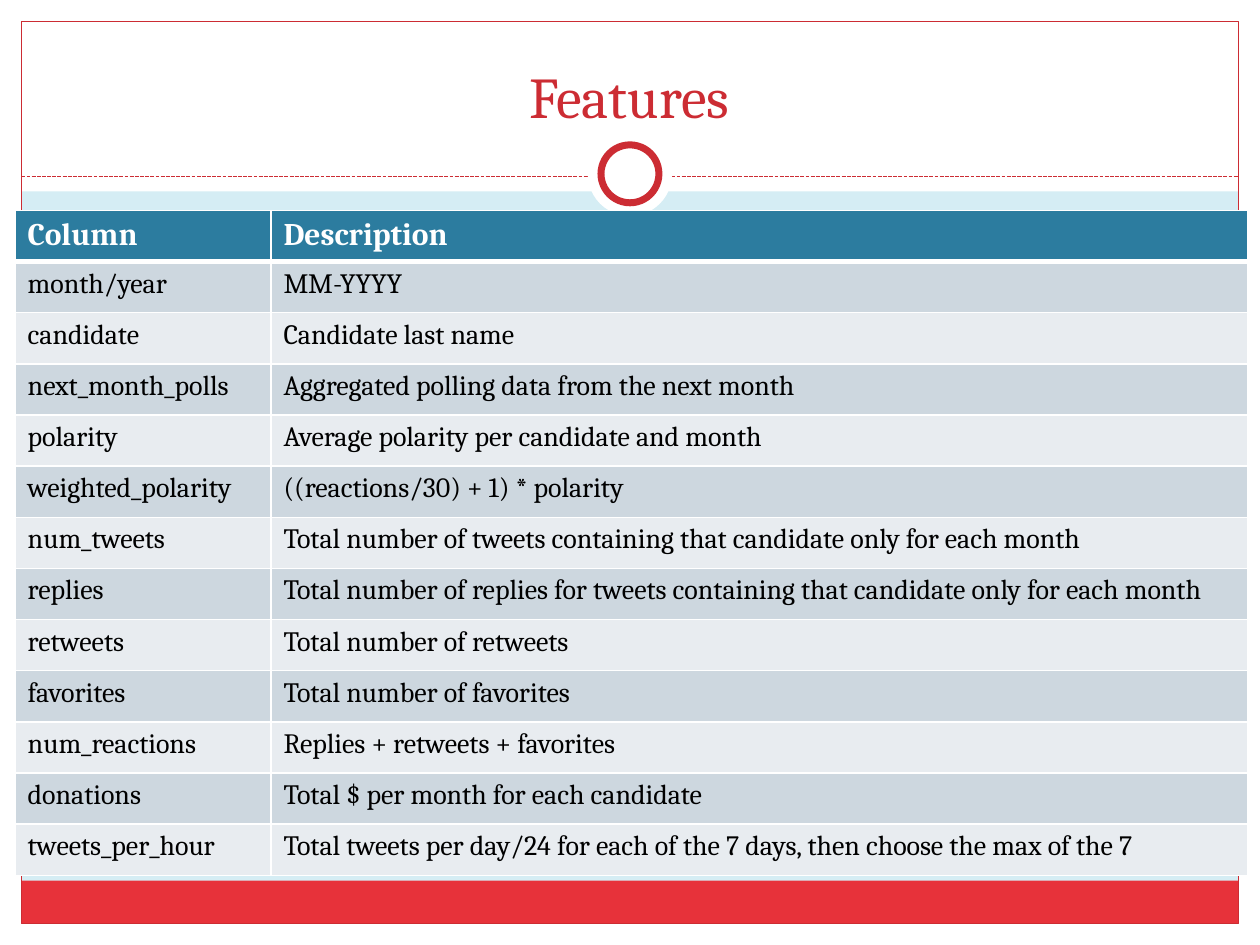
import pptx
import pptx.util
import pptx.dml.color
import pptx.enum.dml
import pptx.enum.shapes
import pptx.enum.text
import pptx.oxml
import pptx.oxml.ns
from lxml import etree

Inches = pptx.util.Inches
Pt = pptx.util.Pt
MSO_SHAPE = pptx.enum.shapes.MSO_SHAPE

FONT = "Cambria"
COLORS = {
    "background": "D5EDF4",
    "white": "FFFFFF",
    "black": "000000",
    "red": "CC2C33",
    "footer": "E7323A",
    "header": "2C7C9F",
    "odd": "CDD7DF",
    "even": "E8ECF0",
}
FEATURES = [
    ("Column", "Description"),
    ("month/year", "MM-YYYY"),
    ("candidate", "Candidate last name"),
    ("next_month_polls", "Aggregated polling data from the next month"),
    ("polarity", "Average polarity per candidate and month"),
    ("weighted_polarity", "((reactions/30) + 1) * polarity"),
    ("num_tweets", "Total number of tweets containing that candidate only for each month"),
    ("replies", "Total number of replies for tweets containing that candidate only for each month"),
    ("retweets", "Total number of retweets"),
    ("favorites", "Total number of favorites"),
    ("num_reactions", "Replies + retweets + favorites"),
    ("donations", "Total $ per month for each candidate"),
    ("tweets_per_hour", "Total tweets per day/24 for each of the 7 days, then choose the max of the 7"),
]


def rgb(name):
    return pptx.dml.color.RGBColor.from_string(COLORS[name])


def add_text(p, text, size, color, bold=False):
    r = p.add_run()
    r.text = text
    r.font.name = FONT
    r.font.size = Pt(size)
    r.font.bold = bold
    r.font.color.rgb = rgb(color)


def add_box(s, kind, x, y, w, h, fill=None, line=None, width=0.75):
    sp = s.shapes.add_shape(kind, Inches(x), Inches(y), Inches(w), Inches(h))
    sp.shadow.inherit = False
    if fill:
        sp.fill.solid()
        sp.fill.fore_color.rgb = rgb(fill)
    else:
        sp.fill.background()
    if line:
        sp.line.color.rgb = rgb(line)
        sp.line.width = Pt(width)
    else:
        sp.line.fill.background()


def add_frame(s, x, y, w, h, margin=0.17, header=1.52, footer=0.34):
    right, bottom = x + w, y + h
    margins = [
        (x, bottom - margin, w, margin),
        (x, y, w, header),
        (x, y, margin, h),
        (right - margin, y, margin, h),
    ]
    for box in margins:
        add_box(s, MSO_SHAPE.RECTANGLE, *box, fill="white")
    inner_w = w - 2 * margin
    add_box(s, MSO_SHAPE.RECTANGLE, x + margin, bottom - margin - footer,
            inner_w, footer, fill="footer")
    add_box(s, MSO_SHAPE.RECTANGLE, x + margin, y + margin,
            inner_w, h - 2 * margin, line="red")


def add_divider(s, x, y, w):
    rule = s.shapes.add_connector(pptx.enum.shapes.MSO_CONNECTOR.STRAIGHT,
                                  Inches(x), Inches(y), Inches(x + w), Inches(y))
    rule.line.color.rgb = rgb("red")
    rule.line.width = Pt(0.75)
    rule.line.dash_style = pptx.enum.dml.MSO_LINE.SQUARE_DOT
    etree.SubElement(rule._element.spPr, pptx.oxml.ns.qn("a:effectLst"))
    center_x, center_y = x + w / 2, y - 0.02
    for size, line in ((0.67, None), (0.46, "red")):
        add_box(s, MSO_SHAPE.OVAL, center_x - size / 2, center_y - size / 2,
                size, size, fill="white", line=line, width=4)


def add_title(s, x, y, w, h):
    title = s.shapes.title
    title._element.getparent().append(title._element)
    title.left, title.top = Inches(x), Inches(y)
    title.width, title.height = Inches(w), Inches(h)
    tf = title.text_frame
    tf.word_wrap = True
    tf.vertical_anchor = pptx.enum.text.MSO_ANCHOR.BOTTOM
    p = tf.paragraphs[0]
    p.alignment = pptx.enum.text.PP_ALIGN.CENTER
    add_text(p, "Features", 33, "red")


def set_borders(cell, bottom_width):
    tcPr = cell._tc.get_or_add_tcPr()
    for side, width in (("L", 1), ("R", 1), ("T", 1), ("B", bottom_width)):
        tcPr.append(pptx.oxml.parse_xml(
            f'<a:ln{side} {pptx.oxml.ns.nsdecls("a")} w="{Pt(width)}"><a:solidFill>'
            f'<a:srgbClr val="{COLORS["white"]}"/></a:solidFill></a:ln{side}>'))


def add_feature_table(s, x, y, w, h, first_column=2.03):
    table = s.shapes.add_table(len(FEATURES), 2, Inches(x), Inches(y),
                               Inches(w), Inches(h)).table
    table.columns[0].width = Inches(first_column)
    table.columns[1].width = Inches(w - first_column)
    for i, texts in enumerate(FEATURES):
        is_header = i == 0
        table.rows[i].height = Inches(h / len(FEATURES))
        fill = "header" if is_header else "odd" if i % 2 else "even"
        for j, text in enumerate(texts):
            cell = table.cell(i, j)
            set_borders(cell, 3 if is_header else 1)
            cell.fill.solid()
            cell.fill.fore_color.rgb = rgb(fill)
            add_text(cell.text_frame.paragraphs[0], text,
                     18 if is_header else 16,
                     "white" if is_header else "black", is_header)


def main():
    prs = pptx.Presentation()
    prs.slide_width, prs.slide_height = Inches(10), Inches(7.5)
    s = prs.slides.add_slide(prs.slide_layouts[5])
    s.background.fill.solid()
    s.background.fill.fore_color.rgb = rgb("background")
    add_frame(s, 0, 0, 10, 7.5)
    add_divider(s, 0.17, 1.4, 9.66)
    add_title(s, 0.33, 0.25, 9.33, 0.83)
    add_feature_table(s, 0.12, 1.67, 9.78, 5.28)
    prs.save("out.pptx")


if __name__ == "__main__":
    main()
